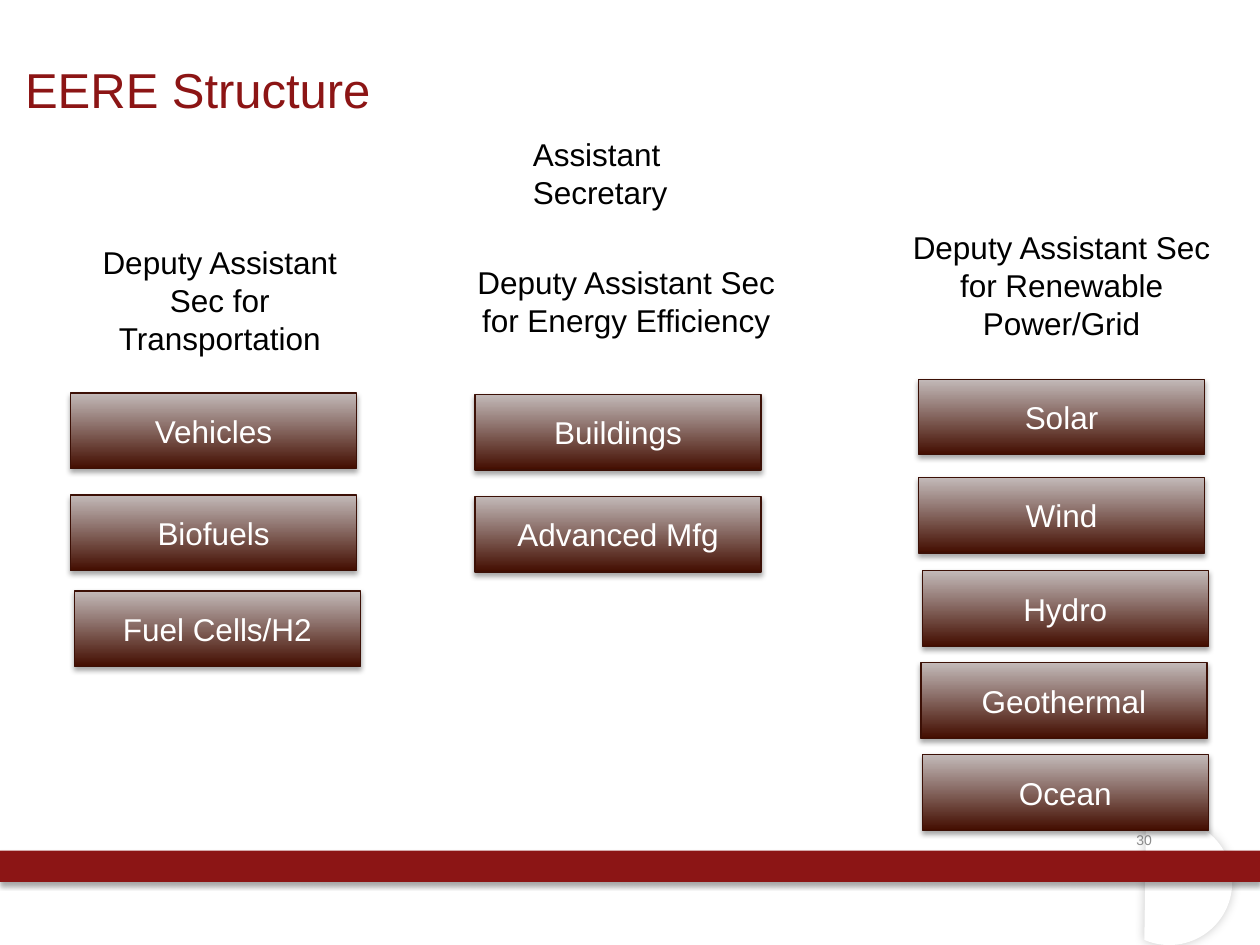
from lxml import etree
from pptx import Presentation
from pptx.dml.color import RGBColor
from pptx.enum.shapes import MSO_SHAPE
from pptx.enum.text import MSO_ANCHOR, MSO_AUTO_SIZE, PP_ALIGN
from pptx.oxml.ns import qn
from pptx.util import Inches, Pt

RECTANGLE, CHORD = MSO_SHAPE.RECTANGLE, MSO_SHAPE.CHORD
TOP, MIDDLE, BOTTOM = MSO_ANCHOR.TOP, MSO_ANCHOR.MIDDLE, MSO_ANCHOR.BOTTOM
LEFT, CENTER, RIGHT = PP_ALIGN.LEFT, PP_ALIGN.CENTER, PP_ALIGN.RIGHT
GROW = MSO_AUTO_SIZE.SHAPE_TO_FIT_TEXT

CARDINAL = RGBColor(0x8C, 0x15, 0x15)
DARK_BROWN = RGBColor(0x43, 0x0D, 0x00)
PALE_BROWN = RGBColor(0xC3, 0xBA, 0xB9)
OUTLINE = RGBColor(0x3C, 0x10, 0x06)
GRAY = RGBColor(0x8C, 0x8C, 0x8C)
BLACK = RGBColor(0, 0, 0)
WHITE = RGBColor(0xFF, 0xFF, 0xFF)

OFFICE_WIDTH, OFFICE_HEIGHT = 2.27, 0.6

BRANCHES = [
    ("Deputy Assistant Sec for Transportation", (0.56, 1.88, 2.37, 1.01),
     [("Vehicles", 0.56, 3.12), ("Biofuels", 0.56, 3.93), ("Fuel Cells/H2", 0.59, 4.69)]),
    ("Deputy Assistant Sec for Energy Efficiency", (3.55, 2.04, 2.84, 0.71),
     [("Buildings", 3.77, 3.13), ("Advanced Mfg", 3.77, 3.94)]),
    ("Deputy Assistant Sec for Renewable Power/Grid", (7.05, 1.76, 2.75, 1.01),
     [("Solar", 7.29, 3.01), ("Wind", 7.29, 3.79), ("Hydro", 7.32, 4.53),
      ("Geothermal", 7.31, 5.26), ("Ocean", 7.32, 5.99)]),
]


def write_text(shape, text, size=18, color=BLACK, align=LEFT, **frame_format):
    """Write one formatted paragraph into a shape."""
    frame = shape.text_frame
    for name, value in {"word_wrap": True, **frame_format}.items():
        setattr(frame, name, value)
    para = frame.paragraphs[0]
    para.alignment = align
    span = para.add_run()
    span.text = text
    for name, value in {"name": "Arial", "size": Pt(size)}.items():
        setattr(span.font, name, value)
    span.font.color.rgb = color


def add_label(page, box, text, **text_format):
    """Add a text box at the given box."""
    label = page.shapes.add_textbox(*map(Inches, box))
    write_text(label, text, **text_format)


def add_shadow(shape, opacity=35, blur=3.1, distance=1.8, angle=90):
    """Give a shape a soft black outer shadow."""
    shape.shadow.inherit = False
    effects = shape._element.spPr.find(qn("a:effectLst"))
    shadow = etree.SubElement(effects, qn("a:outerShdw"), {
        "blurRad": str(Pt(blur)), "dist": str(Pt(distance)),
        "dir": str(angle * 60000), "rotWithShape": "0"})
    color = etree.SubElement(shadow, qn("a:srgbClr"), val="000000")
    etree.SubElement(color, qn("a:alpha"), val=str(opacity * 1000))


def add_plain_shape(page, kind, box, color, **shadow_format):
    """Add a shadowed shape with a solid fill and no outline."""
    shape = page.shapes.add_shape(kind, *map(Inches, box))
    shape.fill.solid()
    shape.fill.fore_color.rgb = color
    shape.line.fill.background()
    add_shadow(shape, **shadow_format)
    return shape


def add_footer(page, box):
    """Add the chord, the bar that fills the box, and the page number."""
    left, top, width, height = box
    right = left + width
    chord = add_plain_shape(page, CHORD, (right - 1.22, top - 0.25, 1, 1), WHITE,
                            opacity=20, blur=6, distance=0, angle=315)
    chord.rotation = 203.3
    add_plain_shape(page, RECTANGLE, box, CARDINAL)
    add_label(page, (right - 1.15, top - 0.17, 0.39, 0.17), "30", size=8,
              color=GRAY, align=RIGHT, vertical_anchor=MIDDLE)


def add_office(page, box, name):
    """Add one gradient office box."""
    office = page.shapes.add_shape(RECTANGLE, *map(Inches, box))
    office.fill.gradient()
    office.fill.gradient_angle = 90
    for stop, position, color in zip(office.fill.gradient_stops, (0, 1),
                                     (DARK_BROWN, PALE_BROWN)):
        stop.position = position
        stop.color.rgb = color
    office.line.color.rgb = OUTLINE
    office.line.width = Pt(0.75)
    add_shadow(office)
    write_text(office, name, color=WHITE, align=CENTER, vertical_anchor=MIDDLE)


def add_branch(page, box, heading, offices):
    """Add a deputy's heading in the box and the offices below it."""
    add_label(page, box, heading, align=CENTER, vertical_anchor=TOP, auto_size=GROW)
    for name, left, top in offices:
        add_office(page, (left, top, OFFICE_WIDTH, OFFICE_HEIGHT), name)


def main():
    """Build and save the deck."""
    deck = Presentation()
    deck.slide_width, deck.slide_height = Inches(10), Inches(7.5)
    page = deck.slides.add_slide(deck.slide_layouts[6])
    add_footer(page, (0, 6.75, 10, 0.25))
    add_label(page, (0, 0, 10, 0.99), "EERE Structure", size=28, color=CARDINAL,
              vertical_anchor=BOTTOM, margin_left=Inches(0.2))
    add_label(page, (4.13, 1.02, 1.35, 0.71), "Assistant Secretary", auto_size=GROW)
    for heading, box, offices in BRANCHES:
        add_branch(page, box, heading, offices)
    deck.save("out.pptx")


if __name__ == "__main__":
    main()
